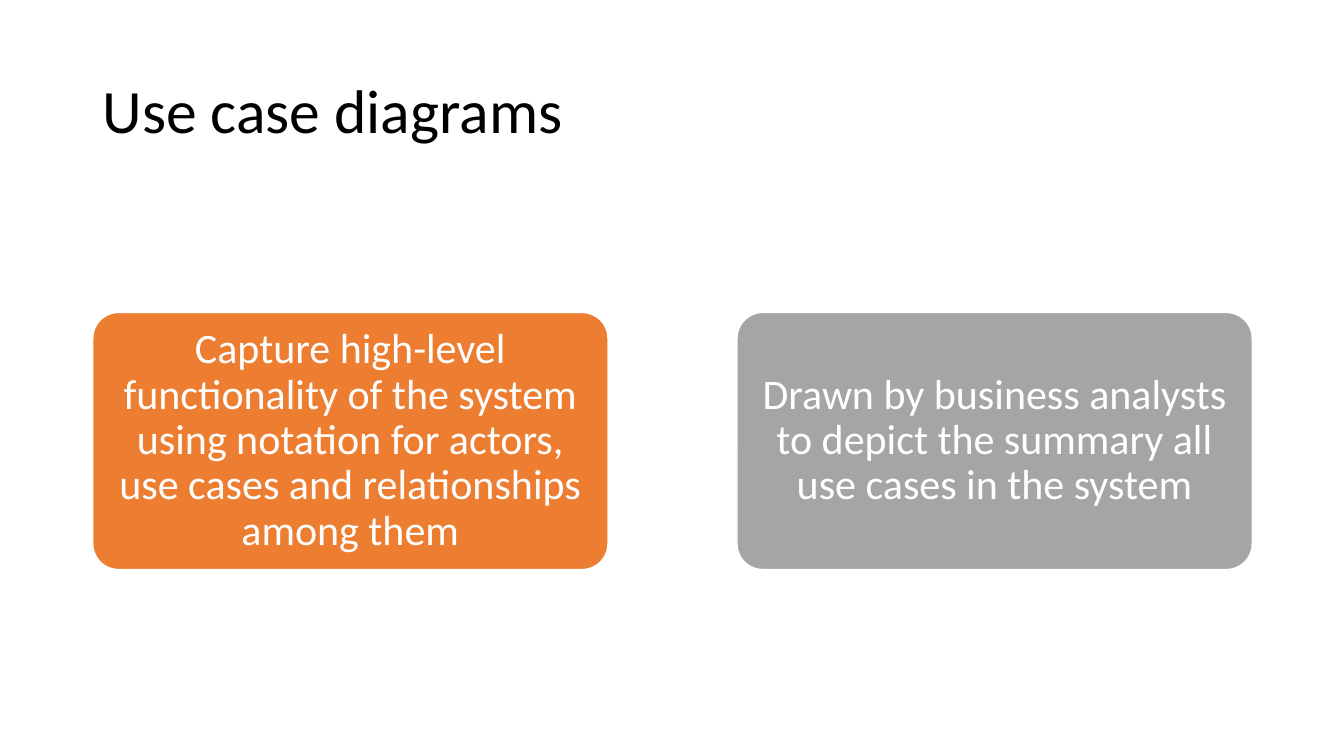
import pptx
import pptx.util
import pptx.dml.color
import pptx.enum.shapes
import pptx.enum.text

Inches = pptx.util.Inches
RGB = pptx.dml.color.RGBColor
ALIGN = pptx.enum.text.PP_ALIGN

BLACK = RGB(0x00, 0x00, 0x00)
WHITE = RGB(0xFF, 0xFF, 0xFF)
ORANGE = RGB(0xED, 0x7D, 0x31)
GREY = RGB(0xA5, 0xA5, 0xA5)

TITLE = "Use case diagrams"
CARDS = [
    ("Capture high-level functionality of the system using notation for "
     "actors, use cases and relationships among them", ORANGE),
    ("Drawn by business analysts to depict the summary all use cases "
     "in the system", GREY),
]

WIDE, HIGH = 13.33, 7.5
EDGE = 0.92
BODY = 11.5
CARD_W, CARD_H, CARD_TOP = 5.11, 2.55, 3.1
STEP = (BODY - CARD_W) / (len(CARDS) - 1)


def write(shape, text, size, color, align, pad):
    frame = shape.text_frame
    frame.word_wrap = True
    frame.vertical_anchor = pptx.enum.text.MSO_ANCHOR.MIDDLE
    frame.margin_left = frame.margin_right = Inches(pad[0])
    frame.margin_top = frame.margin_bottom = Inches(pad[1])
    frame.text = text
    para = frame.paragraphs[0]
    para.alignment = align
    para.line_spacing = 0.9
    font = para.runs[0].font
    font.name = "Calibri"
    font.size = pptx.util.Pt(size)
    font.color.rgb = color


def main():
    """Build the slide with a title and a row of cards."""
    deck = pptx.Presentation()
    deck.slide_width, deck.slide_height = Inches(WIDE), Inches(HIGH)
    shapes = deck.slides.add_slide(deck.slide_layouts[6]).shapes

    title = shapes.add_textbox(
        Inches(EDGE), Inches(0.4), Inches(BODY), Inches(1.45))
    write(title, TITLE, 44, BLACK, ALIGN.LEFT, (0.1, 0.05))

    for col, (text, fill) in enumerate(CARDS):
        card = shapes.add_shape(
            pptx.enum.shapes.MSO_SHAPE.ROUNDED_RECTANGLE,
            Inches(EDGE + col * STEP), Inches(CARD_TOP),
            Inches(CARD_W), Inches(CARD_H))
        card.adjustments[0] = 0.1
        card.shadow.inherit = False
        card.fill.solid()
        card.fill.fore_color.rgb = fill
        card.line.color.rgb = WHITE
        card.line.width = pptx.util.Pt(1)
        write(card, text, 30, WHITE, ALIGN.CENTER, (0.06, 0.04))

    deck.save("out.pptx")


if __name__ == "__main__":
    main()
